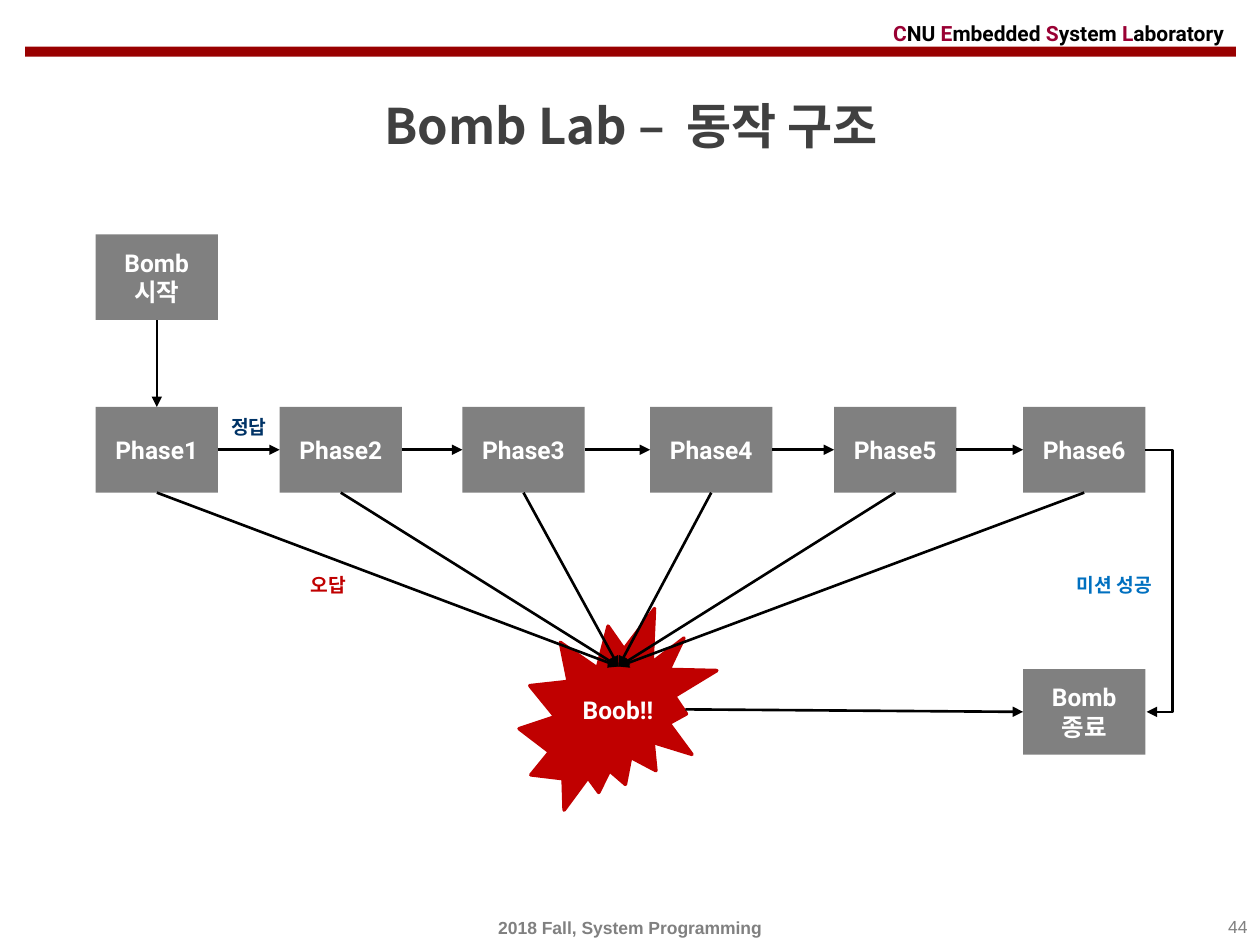
import pptx
import pptx.dml.color
import pptx.enum.shapes
import pptx.enum.text
import pptx.oxml.ns
import pptx.util
from lxml import etree

Inches = pptx.util.Inches
Pt = pptx.util.Pt
Shape = pptx.enum.shapes.MSO_SHAPE
Connector = pptx.enum.shapes.MSO_CONNECTOR
Align = pptx.enum.text.PP_ALIGN
Anchor = pptx.enum.text.MSO_ANCHOR
qn = pptx.oxml.ns.qn

BLACK, WHITE, GRAY = "000000", "FFFFFF", "808080"
DARK_RED, CRIMSON, RED = "990000", "990033", "C00000"
KOREAN = "Noto Sans CJK KR"


def rgb(value):
    return pptx.dml.color.RGBColor.from_string(value)


class SlideBuilder:
    box_width, box_height = 0.97, 0.68
    line_width = 1.5

    def __init__(self, slide):
        self.slide = slide

    def fill_text(self, shape, paragraphs, size, bold=True,
                  align=Align.CENTER, anchor=Anchor.MIDDLE):
        """Fill a shape with paragraphs, each a list of (text, font, colour)."""
        frame = shape.text_frame
        frame.word_wrap = True
        frame.vertical_anchor = anchor
        for index, spans in enumerate(paragraphs):
            para = frame.add_paragraph() if index else frame.paragraphs[0]
            para.alignment = align
            for text, font, color in spans:
                span = para.add_run()
                span.text = text
                span.font.name = font
                span.font.size = Pt(size)
                span.font.bold = bold
                span.font.color.rgb = rgb(color)
                east_asian = etree.SubElement(span.font._element, qn("a:ea"))
                east_asian.set("typeface", KOREAN)

    def text(self, left, top, width, height, spans, size, **style):
        box = self.slide.shapes.add_textbox(
            Inches(left), Inches(top), Inches(width), Inches(height))
        self.fill_text(box, [spans], size, **style)

    def shape(self, kind, left, top, width, height, fill, outline=None):
        shape = self.slide.shapes.add_shape(
            kind, Inches(left), Inches(top), Inches(width), Inches(height))
        shape.shadow.inherit = False
        shape.fill.solid()
        shape.fill.fore_color.rgb = rgb(fill)
        if outline:
            shape.line.color.rgb = rgb(outline)
            shape.line.width = Pt(2)
        else:
            shape.line.fill.background()
        return shape

    def step(self, left, top, *lines):
        """Add a gray flow box; each line is a (text, font) pair."""
        box = self.shape(Shape.RECTANGLE, left, top,
                         self.box_width, self.box_height, GRAY)
        self.fill_text(box, [[(text, font, WHITE)] for text, font in lines], 14)

    def arrow(self, start, end, kind=Connector.STRAIGHT, bend=None):
        """Join two points; bend is the elbow place in units of the width."""
        x1, y1, x2, y2 = (Inches(value) for value in (*start, *end))
        line = self.slide.shapes.add_connector(kind, x1, y1, x2, y2)
        line.line.color.rgb = rgb(BLACK)
        line.line.width = Pt(self.line_width)
        properties = line._element.spPr
        head = etree.SubElement(properties.find(qn("a:ln")), qn("a:tailEnd"))
        head.set("type", "triangle")
        etree.SubElement(properties, qn("a:effectLst"))
        if bend is not None:
            guides = properties.find(qn("a:prstGeom")).get_or_add_avLst()
            guide = etree.SubElement(guides, qn("a:gd"))
            guide.set("name", "adj1")
            guide.set("fmla", f"val {round(bend * 100000)}")


def add_frame(builder):
    builder.shape(Shape.RECTANGLE, 0.2, 0.37, 9.61, 0.08, DARK_RED)
    lab_name = [("C", "NU "), ("E", "mbedded "), ("S", "ystem "),
                ("L", "aboratory")]
    spans = []
    for initial, rest in lab_name:
        spans += [(initial, "Roboto", CRIMSON), (rest, "Roboto", BLACK)]
    builder.text(6.99, 0.12, 3.03, 0.28, spans, 12, align=Align.LEFT)
    builder.text(0.21, 0.6, 9.6, 0.79,
                 [("Bomb Lab –  동작 구조", KOREAN, "404040")], 28)
    builder.text(0, 7.22, 10, 0.28,
                 [("2018 Fall, System Programming", "Arial", GRAY)], 10)
    builder.text(7.67, 7.22, 2.33, 0.28, [("44", "Arial", GRAY)], 10,
                 bold=False, align=Align.RIGHT, anchor=Anchor.TOP)


def add_flow(builder):
    width, height = builder.box_width, builder.box_height
    phase_lefts = [0.76, 2.22, 3.67, 5.16, 6.62, 8.12]
    first, last = phase_lefts[0], phase_lefts[-1]
    start_top, phase_top, end_top = 1.86, 3.23, 5.31
    phase_middle = phase_top + height / 2
    end_middle = end_top + height / 2
    blast = (4.91, 5.29)

    builder.shape(Shape.EXPLOSION2, 4.12, 4.83, 1.57, 1.6, RED, RED)
    builder.text(4.37, 5.29, 1.07, height, [("Boob!!", "Roboto", WHITE)], 14)

    builder.step(first, start_top, ("Bomb", "Roboto"), ("시작", "Arial"))
    builder.step(last, end_top, ("Bomb", "Roboto"), ("종료", "Arial"))
    for number, left in enumerate(phase_lefts, 1):
        builder.step(left, phase_top, (f"Phase{number}", "Roboto"))
        builder.arrow((left + width / 2, phase_top + height), blast)
    for left, following in zip(phase_lefts, phase_lefts[1:]):
        builder.arrow((left + width, phase_middle), (following, phase_middle))

    start_center = first + width / 2
    builder.arrow((start_center, start_top + height),
                  (start_center, phase_top))
    builder.arrow((5.44, 5.63), (last, end_middle))
    right = last + width
    builder.arrow((right, phase_middle), (right + 0.01, end_middle),
                  Connector.ELBOW, bend=22)

    labels = [("미션 성공", 8.37, 4.5, "0070C0"), ("오답", 2.13, 4.5, RED),
              ("정답", 1.5, 3.25, "003366")]
    for label, left, top, color in labels:
        builder.text(left, top, 0.95, 0.28, [(label, "Arial", color)], 11,
                     anchor=Anchor.TOP)


def main():
    deck = pptx.Presentation()
    deck.slide_width, deck.slide_height = Inches(10), Inches(7.5)
    page = deck.slides.add_slide(deck.slide_layouts[6])
    builder = SlideBuilder(page)
    add_frame(builder)
    add_flow(builder)
    deck.save("out.pptx")


if __name__ == "__main__":
    main()
